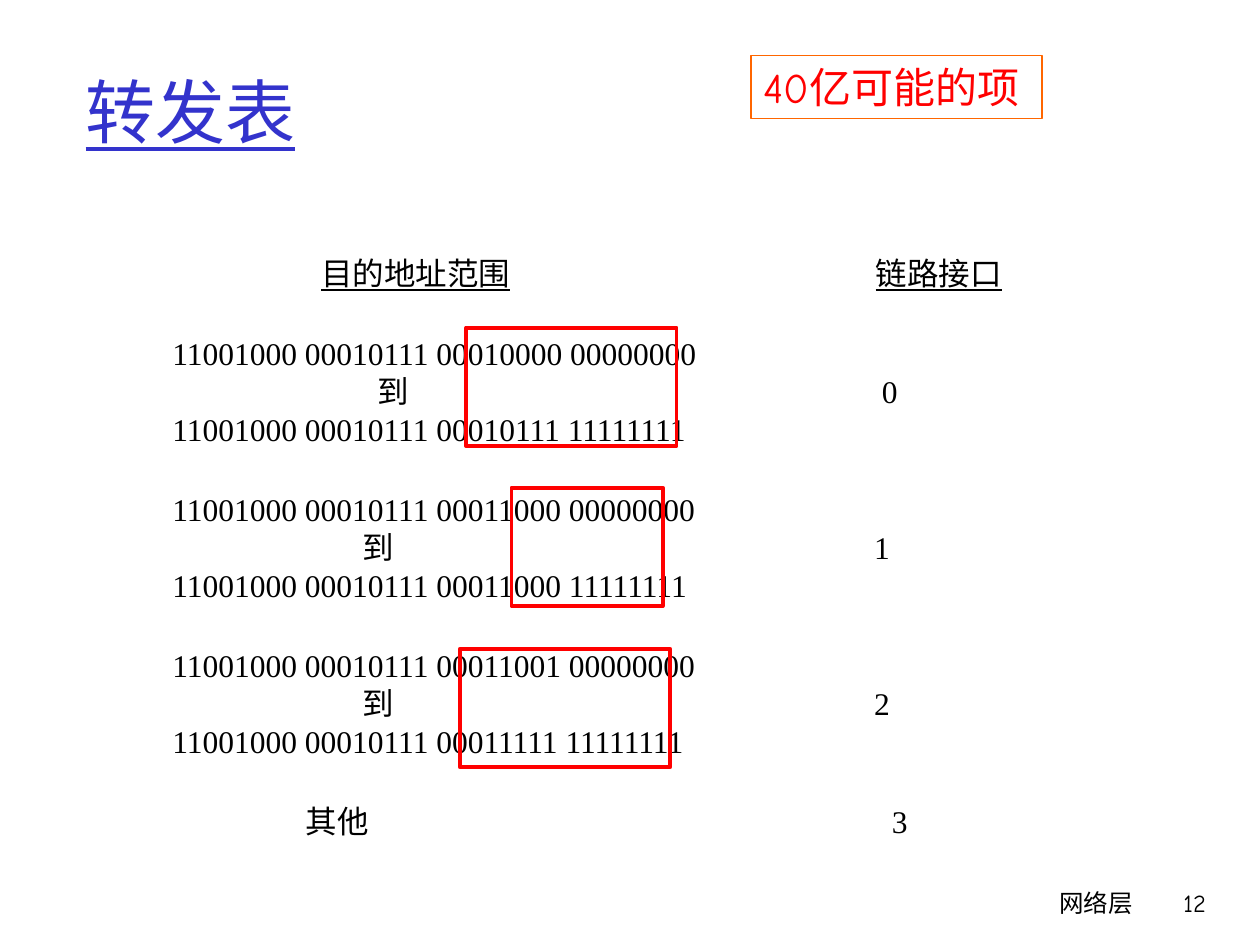
from pptx import Presentation
from pptx.dml.color import RGBColor
from pptx.enum.shapes import MSO_SHAPE
from pptx.enum.text import MSO_ANCHOR, PP_ALIGN
from pptx.oxml.ns import qn
from pptx.util import Inches, Pt
from lxml import etree

RECTANGLE = MSO_SHAPE.RECTANGLE
MIDDLE = MSO_ANCHOR.MIDDLE
LEFT, RIGHT = PP_ALIGN.LEFT, PP_ALIGN.RIGHT

COLORS = {"title": "3333CC", "text": "000000", "red": "FF0000", "orange": "FF6600"}
HEADING_FONT = "Comic Neue"
TABLE_FONT = "Times New Roman"

TITLE = "转发表"
CALLOUT = "40亿可能的项"
HEADER = [(1.74, "目的地址范围"), (6.14, "链路接口")]
RANGES = [
    ("11001000 00010111 00010000 00000000", "11001000 00010111 00010111 11111111", 2.19, "0", 6.19),
    ("11001000 00010111 00011000 00000000", "11001000 00010111 00011000 11111111", 2.07, "1", 6.13),
    ("11001000 00010111 00011001 00000000", "11001000 00010111 00011111 11111111", 2.07, "2", 6.13),
]
OTHERWISE = [(1.62, "其他"), (6.27, "3")]
ADDRESS_INDENT = 0.56
GROUP_GAP = 24.3
HIGHLIGHTS = [(3.7, 2.6, 1.67), (4.06, 3.87, 1.2), (3.65, 5.15, 1.67)]
HIGHLIGHT_HEIGHT = 0.94
FOOTERS = [("网络层", 5.92, 3.17), ("12", 8.93, 0.74)]


def color(name):
    return RGBColor.from_string(COLORS[name])


def style(paragraph, size, color_name, font=HEADING_FONT, alignment=LEFT):
    paragraph.alignment = alignment
    paragraph.font.size = Pt(size)
    paragraph.font.name = font
    paragraph.font.color.rgb = color(color_name)


def add_text_box(slide, left, top, width, height):
    box = slide.shapes.add_textbox(Inches(left), Inches(top), Inches(width), Inches(height))
    box.text_frame.word_wrap = True
    return box.text_frame


def add_outline(slide, left, top, width, height, color_name, line_width):
    shape = slide.shapes.add_shape(
        RECTANGLE, Inches(left), Inches(top), Inches(width), Inches(height))
    shape.shadow.inherit = False
    shape.fill.background()
    shape.line.color.rgb = color(color_name)
    shape.line.width = Pt(line_width)
    return shape


def fill_row(paragraph, cells, underline=False):
    tabs = etree.SubElement(paragraph._p.get_or_add_pPr(), qn("a:tabLst"))
    for position, text in cells:
        etree.SubElement(tabs, qn("a:tab"), pos=str(Inches(position)), algn="l")
        paragraph.add_run().text = "\t"
        run = paragraph.add_run()
        run.text = text
        if underline:
            run.font.underline = True
    style(paragraph, 18, "text", TABLE_FONT)


def add_forwarding_table(slide):
    frame = add_text_box(slide, 0.71, 1.97, 7.81, 4.74)
    frame.vertical_anchor = MIDDLE
    fill_row(frame.paragraphs[0], HEADER, underline=True)
    groups = [
        [[(ADDRESS_INDENT, first)],
         [(to_left, "到"), (link_left, link)],
         [(ADDRESS_INDENT, last)]]
        for first, last, to_left, link, link_left in RANGES
    ]
    for group in groups + [[OTHERWISE]]:
        for index, cells in enumerate(group):
            paragraph = frame.add_paragraph()
            fill_row(paragraph, cells)
            if index == 0:
                paragraph.space_before = Pt(GROUP_GAP)


def main():
    presentation = Presentation()
    presentation.slide_width, presentation.slide_height = Inches(10), Inches(7.5)
    slide = presentation.slides.add_slide(presentation.slide_layouts[5])

    title = slide.shapes.title
    title.left, title.top = Inches(0.58), Inches(0.25)
    title.width, title.height = Inches(8.5), Inches(1.25)
    title.text_frame.text = TITLE
    title.text_frame.vertical_anchor = MIDDLE
    heading = title.text_frame.paragraphs[0]
    style(heading, 40, "title")
    heading.font.underline = True

    add_forwarding_table(slide)

    callout = add_outline(slide, 5.96, 0.44, 2.31, 0.5, "orange", 0.75).text_frame
    callout.word_wrap = False
    callout.text = CALLOUT
    style(callout.paragraphs[0], 24, "red")

    for left, top, width in HIGHLIGHTS:
        add_outline(slide, left, top, width, HIGHLIGHT_HEIGHT, "red", 2.25)

    for text, left, width in FOOTERS:
        footer = add_text_box(slide, left, 7, width, 0.5)
        footer.text = text
        style(footer.paragraphs[0], 14, "text", alignment=RIGHT)

    presentation.save("out.pptx")


if __name__ == "__main__":
    main()
